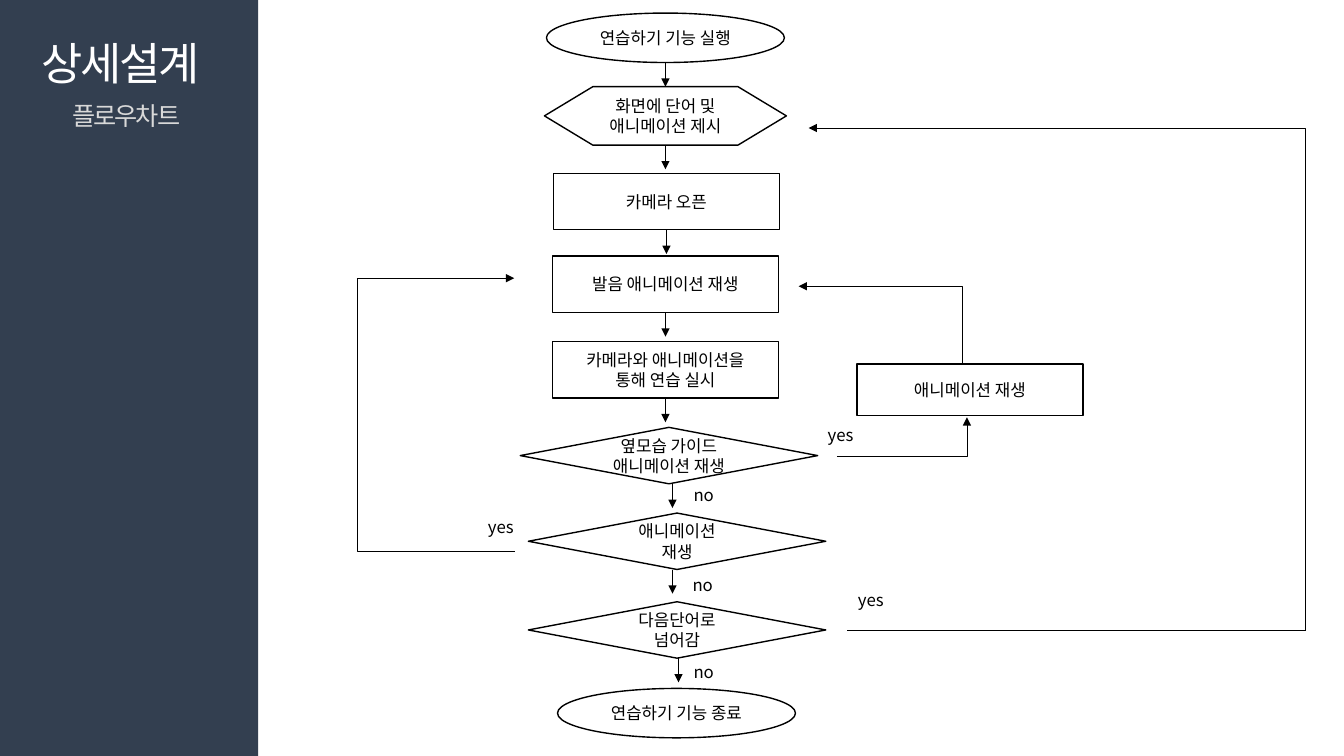
"""Build the flowchart slide of the detailed design section."""
from lxml import etree
from pptx import Presentation
from pptx.dml.color import RGBColor
from pptx.enum.shapes import MSO_CONNECTOR as Line, MSO_SHAPE as Shape
from pptx.enum.text import MSO_ANCHOR as Anchor, MSO_AUTO_SIZE as AutoSize, PP_ALIGN as Align
from pptx.oxml.ns import qn
from pptx.util import Inches, Pt

FONT = "Noto Sans CJK KR"
NAVY = RGBColor(0x33, 0x3F, 0x50)
WHITE = RGBColor(0xFF, 0xFF, 0xFF)
GRAY = RGBColor(0xD9, 0xD9, 0xD9)
BLACK = RGBColor(0, 0, 0)

CELL = Inches(0.01)
COLUMNS, ROWS = 1333, 750
ARROW_ROWS = 24


def write_text(shape, text, size, color, align, anchor, spacing=0):
    frame = shape.text_frame
    frame.text = text
    frame.word_wrap = True
    frame.auto_size = AutoSize.NONE
    frame.vertical_anchor = anchor
    for paragraph in frame.paragraphs:
        paragraph.alignment = align
        paragraph.space_before = Pt(0)
        for run in paragraph.runs:
            run.font.name = FONT
            run.font.size = Pt(size)
            run.font.color.rgb = color
            properties = run.font._element
            etree.SubElement(properties, qn("a:ea")).set("typeface", FONT)
            if spacing:
                properties.set("spc", str(spacing))


def add_line(kind, points, arrow_end=None, bend=None):
    connector = slide.shapes.add_connector(kind, *(CELL * n for n in points))
    connector.line.color.rgb = BLACK
    connector.line.width = Pt(0.5)
    if arrow_end:
        line = connector.line._get_or_add_ln()
        etree.SubElement(line, qn(f"a:{arrow_end}")).set("type", "triangle")
    etree.SubElement(connector._element.spPr, qn("a:effectLst"))
    if bend is not None:
        guides = connector._element.spPr.prstGeom.get_or_add_avLst()
        guide = etree.SubElement(guides, qn("a:gd"))
        guide.set("name", "adj1")
        guide.set("fmla", f"val {bend}")
    return connector


presentation = Presentation()
presentation.slide_width = CELL * COLUMNS
presentation.slide_height = CELL * ROWS
slide = presentation.slides.add_slide(presentation.slide_layouts[0])

title, subtitle = slide.placeholders
sidebar = slide.shapes.add_shape(Shape.RECTANGLE, 0, 0, CELL * 256, CELL * ROWS)
sidebar.shadow.inherit = False
sidebar.fill.solid()
sidebar.fill.fore_color.rgb = NAVY
sidebar.line.fill.background()
title._element.addprevious(sidebar._element)

headings = [
    (title, "상세설계", 30, 196, 64, 32, WHITE, Align.LEFT),
    (subtitle, "플로우차트", 94, 189, 40, 18, GRAY, Align.CENTER),
]
for heading, text, top, width, height, size, color, align in headings:
    heading.left, heading.top = CELL * 31, CELL * top
    heading.width, heading.height = CELL * width, CELL * height
    write_text(heading, text, size, color, align, Anchor.TOP, spacing=-150)

SIZES = {
    Shape.OVAL: (236, 49),
    Shape.FLOWCHART_PREPARATION: (240, 58),
    Shape.RECTANGLE: (224, 56),
    Shape.FLOWCHART_DECISION: (295, 56),
}
steps = [
    (Shape.OVAL, 542, 13, "연습하기 기능 실행", 660),
    (Shape.FLOWCHART_PREPARATION, 540, 86, "화면에 단어 및 애니메이션 제시", 660),
    (Shape.RECTANGLE, 549, 172, "카메라 오픈", 661),
    (Shape.RECTANGLE, 548, 254, "발음 애니메이션 재생", 660),
    (Shape.RECTANGLE, 548, 339, "카메라와 애니메이션을\n통해 연습 실시", 660),
    (Shape.FLOWCHART_DECISION, 516, 424, "옆모습 가이드\n애니메이션 재생", 667),
    (Shape.FLOWCHART_DECISION, 524, 509, "애니메이션\n재생", 667),
    (Shape.FLOWCHART_DECISION, 524, 597, "다음단어로\n넘어감", 673),
    (Shape.OVAL, 553, 683, "연습하기 기능 종료", None),
    (Shape.RECTANGLE, 850, 361, "애니메이션 재생", None),
]
for kind, left, top, text, arrow_column in steps:
    width, height = SIZES[kind]
    if left == 850:
        height = 51
    step = slide.shapes.add_shape(kind, *(CELL * n for n in (left, top, width, height)))
    step.shadow.inherit = False
    step.fill.solid()
    step.fill.fore_color.rgb = WHITE
    step.line.color.rgb = BLACK
    step.line.width = Pt(1)
    write_text(step, text, 12, BLACK, Align.CENTER, Anchor.MIDDLE)
    if arrow_column:
        bottom = top + height
        arrow = add_line(
            Line.STRAIGHT, (arrow_column, bottom, arrow_column, bottom + ARROW_ROWS), "tailEnd")
        if kind == Shape.RECTANGLE:
            arrow.begin_connect(step, 2)

add_line(Line.ELBOW, (830, 453, 959, 414), "tailEnd", bend=100000)
add_line(Line.ELBOW, (792, 284, 954, 361), "headEnd", bend=100000)
add_line(Line.ELBOW, (802, 127, 1295, 625), "headEnd", bend=100000)
add_line(Line.STRAIGHT, (1295, 625, 840, 625))
add_line(Line.ELBOW, (354, 276, 511, 547), bend=0)
add_line(Line.STRAIGHT, (354, 276, 510, 276), "tailEnd")

answers = [
    ("yes", 811, 416), ("yes", 474, 508), ("yes", 841, 580),
    ("no", 678, 476), ("no", 677, 565), ("no", 678, 652),
]
for answer, left, top in answers:
    label = slide.shapes.add_textbox(CELL * left, CELL * top, CELL * 48, CELL * 30)
    write_text(label, answer, 12, BLACK, Align.LEFT, Anchor.TOP)

presentation.save("out.pptx")
